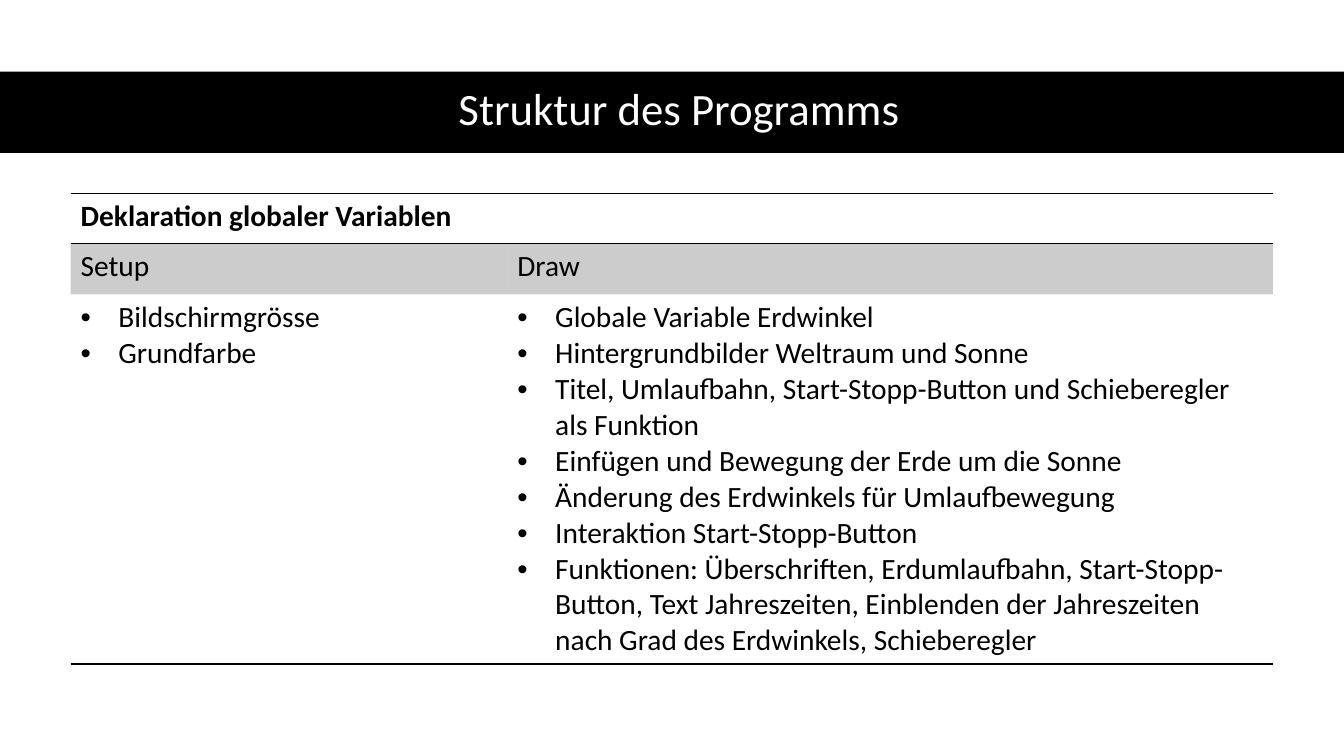
from lxml import etree
from pptx import Presentation
from pptx.dml.color import RGBColor
from pptx.enum import shapes, text
from pptx.oxml import ns
from pptx.util import Pt

FONT = "Calibri"
BLACK = "000000"
SETUP = ["Bildschirmgrösse", "Grundfarbe"]
DRAW = [
    "Globale Variable Erdwinkel",
    "Hintergrundbilder Weltraum und Sonne",
    "Titel, Umlaufbahn, Start-Stopp-Button und Schieberegler als Funktion",
    "Einfügen und Bewegung der Erde um die Sonne",
    "Änderung des Erdwinkels für Umlaufbewegung",
    "Interaktion Start-Stopp-Button",
    "Funktionen: Überschriften, Erdumlaufbahn, Start-Stopp-Button, Text Jahreszeiten, "
    "Einblenden der Jahreszeiten nach Grad des Erdwinkels, Schieberegler",
]
ROWS = [
    (36, [["Deklaration globaler Variablen"], []],
     dict(bold=True, edges=("lnT", "lnB"))),
    (36, [["Setup"], ["Draw"]], dict(edges=("lnT",), alpha=20)),
    (262, [SETUP, DRAW], dict(edges=("lnB",), bullet=True)),
]


def rgb(value):
    """Turn a hex string into a colour."""
    return RGBColor.from_string(value)


def sub(parent, tag, **attrs):
    """Append a DrawingML child element with attributes."""
    return etree.SubElement(parent, ns.qn(f"a:{tag}"), attrs)


def write(p, content, size=21, color=BLACK, bold=False, bullet=False):
    """Put formatted text into a paragraph, with a hanging bullet if asked."""
    r = p.add_run()
    r.text = content
    r.font.name, r.font.size, r.font.bold = FONT, Pt(size), bold
    r.font.color.rgb = rgb(color)
    if bullet:
        pPr = p._p.get_or_add_pPr()
        pPr.set("marL", str(Pt(27)))
        pPr.set("indent", str(-Pt(27)))
        sub(pPr, "buFont", typeface="Arial")
        sub(pPr, "buChar", char="•")


def add_band(s, x, y, w, h):
    """Add the black band behind everything else."""
    sp = s.shapes.add_shape(shapes.MSO_SHAPE.RECTANGLE, Pt(x), Pt(y), Pt(w), Pt(h))
    sp.shadow.inherit = False
    sp.fill.solid()
    sp.fill.fore_color.rgb = rgb(BLACK)
    sp.line.fill.background()
    s.shapes._spTree.insert(2, sp._element)


def set_title(s, content, x, y, w, h):
    """Place and format the title placeholder."""
    sp = s.shapes.title
    sp.left, sp.top, sp.width, sp.height = Pt(x), Pt(y), Pt(w), Pt(h)
    tf = sp.text_frame
    tf.word_wrap = True
    tf.vertical_anchor = text.MSO_ANCHOR.MIDDLE
    p = tf.paragraphs[0]
    p.alignment = text.PP_ALIGN.CENTER
    p.line_spacing = 0.9
    write(p, content, size=32, color="FFFFFF")


def set_borders(cell, edges):
    """Draw the named edges in black and hide the others."""
    tcPr = cell._tc.get_or_add_tcPr()
    for edge in ("lnL", "lnR", "lnT", "lnB"):
        ln = sub(tcPr, edge, w=str(Pt(1)))
        if edge in edges:
            sub(sub(ln, "solidFill"), "srgbClr", val=BLACK)
        else:
            sub(ln, "noFill")


def fill_cell(cell, lines, edges, alpha=0, **fmt):
    """Fill one table cell with paragraphs, borders and shading."""
    set_borders(cell, edges)
    if alpha:
        cell.fill.solid()
        cell.fill.fore_color.rgb = rgb(BLACK)
        clr = cell._tc.tcPr.find(".//" + ns.qn("a:solidFill") + "[last()]/../"
                                 + ns.qn("a:solidFill"))
        clr = cell._tc.tcPr.findall(ns.qn("a:solidFill"))[0][0]
        sub(clr, "alpha", val=str(alpha * 1000))
    else:
        cell.fill.background()
    tf = cell.text_frame
    for i, line in enumerate(lines):
        write(tf.add_paragraph() if i else tf.paragraphs[0], line, **fmt)


def add_structure(s, x, y, widths):
    """Add the table of program parts."""
    height = sum(row[0] for row in ROWS)
    tbl = s.shapes.add_table(len(ROWS), len(widths), Pt(x), Pt(y),
                             Pt(sum(widths)), Pt(height)).table
    tbl.first_row = tbl.horz_banding = False
    for col, w in zip(tbl.columns, widths):
        col.width = Pt(w)
    for i, (h, cells, fmt) in enumerate(ROWS):
        tbl.rows[i].height = Pt(h)
        for j, lines in enumerate(cells):
            fill_cell(tbl.cell(i, j), lines, **fmt)
    tbl.cell(0, 0).merge(tbl.cell(0, 1))


def main():
    """Build and save the slide."""
    prs = Presentation()
    prs.slide_width, prs.slide_height = Pt(960), Pt(540)
    s = prs.slides.add_slide(prs.slide_layouts[5])
    add_band(s, 0, 51.2, 960, 58)
    set_title(s, "Struktur des Programms", 43.7, 50.4, 882.7, 58.3)
    add_structure(s, 50.4, 138.2, [312, 546.8])
    prs.save("out.pptx")


if __name__ == "__main__":
    main()
